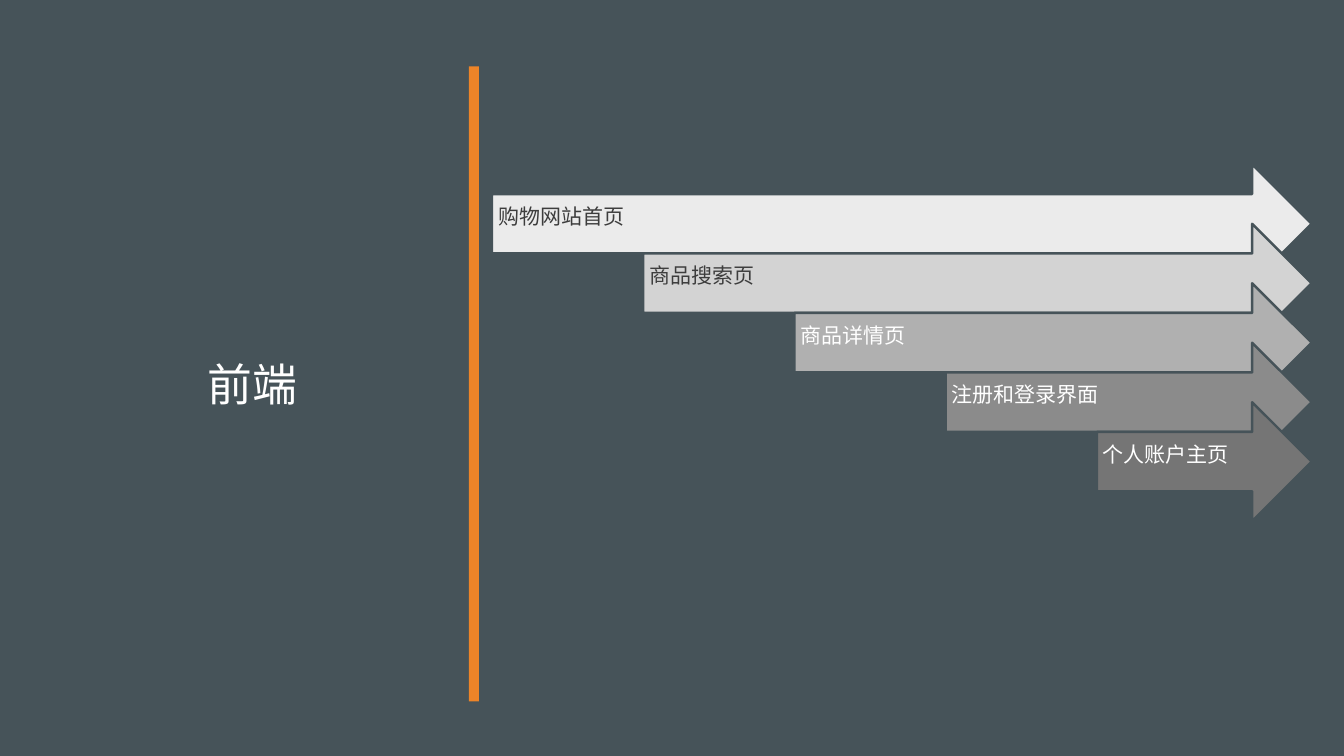
"""Build the front-end slide: a title beside five stepped arrows."""
from lxml.etree import SubElement
from pptx import Presentation
from pptx.dml.color import RGBColor
from pptx.enum.shapes import MSO_SHAPE as SHAPE
from pptx.enum.text import MSO_ANCHOR as ANCHOR, PP_ALIGN as ALIGN
from pptx.oxml.ns import qn
from pptx.util import Inches, Pt

FONT = "Noto Sans CJK SC"
SLATE = "465359"
PAGES = [
    ("购物网站首页", "EBEBEB", "3D3D3D"),
    ("商品搜索页", "D3D3D3", "3D3D3D"),
    ("商品详情页", "B0B0B0", "FFFFFF"),
    ("注册和登录界面", "8B8B8B", "FFFFFF"),
    ("个人账户主页", "757575", "FFFFFF"),
]
RIGHT = 13.01


def paint(fmt, color):
    fmt.solid()
    fmt.fore_color.rgb = RGBColor.from_string(color)


def write(tf, text, size, color, align):
    tf.word_wrap = True
    tf.vertical_anchor = ANCHOR.MIDDLE
    p = tf.paragraphs[0]
    p.text = text
    p.alignment = align
    p.line_spacing = 0.9
    p.font.size = Pt(size)
    p.font.bold = False
    p.font.name = FONT
    paint(p.font.fill, color)
    SubElement(p.font._rPr, qn("a:ea"), typeface=FONT)


prs = Presentation()
prs.slide_width, prs.slide_height = Inches(13.33), Inches(7.5)
s = prs.slides.add_slide(prs.slide_layouts[5])
paint(s.background.fill, SLATE)

bar = s.shapes.add_shape(SHAPE.RECTANGLE, Inches(4.65), Inches(0.66), Inches(0.1), Inches(6.3))
bar.shadow.inherit = False
paint(bar.fill, "ED8428")
bar.line.fill.background()

title = s.shapes.title
title.left, title.top = Inches(0.84), Inches(2.9)
title.width, title.height = Inches(3.32), Inches(1.88)
write(title.text_frame, "前端", 32, "FFFFFF", ALIGN.CENTER)

for i, (page, fill, ink) in enumerate(PAGES):
    left, top = 4.88 + 1.5 * i, 1.63 + 0.59 * i
    width = RIGHT - left
    arrow = s.shapes.add_shape(SHAPE.RIGHT_ARROW, Inches(left), Inches(top), Inches(width), Inches(1.18))
    arrow.shadow.inherit = False
    paint(arrow.fill, fill)
    paint(arrow.line.fill, SLATE)
    arrow.line.width = Pt(1.75)

    label = s.shapes.add_textbox(Inches(left), Inches(top + 0.3), Inches(width - 0.3), Inches(0.59))
    tf = label.text_frame
    tf.margin_left = tf.margin_top = Inches(0.06)
    tf.margin_right, tf.margin_bottom = Inches(0.28), Inches(0.19)
    write(tf, page, 15, ink, ALIGN.LEFT)

prs.save("out.pptx")
